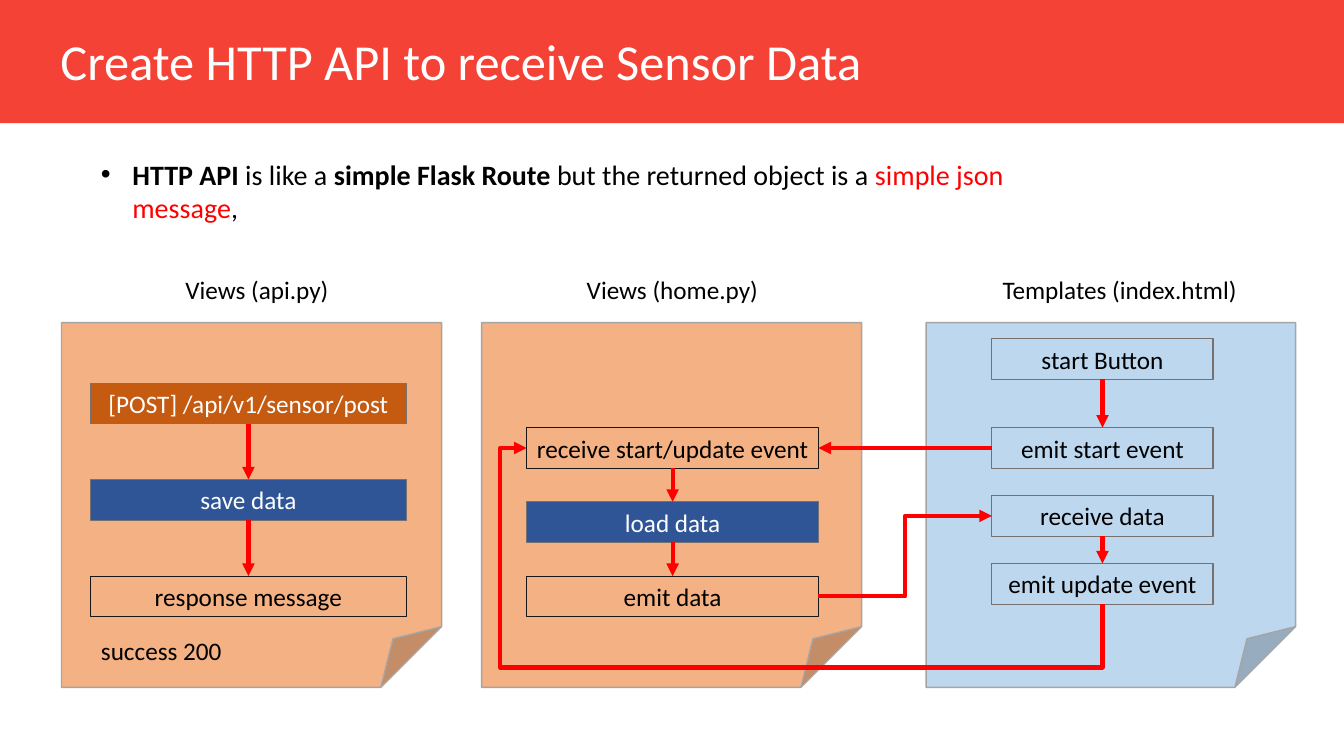
from lxml import etree
from pptx import Presentation, oxml
from pptx.dml.color import RGBColor
from pptx.enum import shapes, text
from pptx.oxml import ns
from pptx.util import Pt

COLORS = {
    "band": "F44336", "white": "FFFFFF", "black": "000000", "red": "FF0000",
    "peach": "F4B183", "sky": "BDD7EE", "rust": "C55A11", "navy": "2F5597",
    "silver": "A5A5A5", "gray": "767171", "ink": "181717",
}
RGB = {name: RGBColor.from_string(value) for name, value in COLORS.items()}
ALIGN = text.PP_ALIGN
SHAPE = shapes.MSO_SHAPE


def write(shape, spans, size, align=ALIGN.LEFT, wrap=False, anchor=text.MSO_ANCHOR.TOP):
    frame = shape.text_frame
    layout = {"word_wrap": wrap, "vertical_anchor": anchor, "auto_size": text.MSO_AUTO_SIZE.NONE}
    for name, value in layout.items():
        setattr(frame, name, value)
    para = frame.paragraphs[0]
    para.alignment = align
    for words, color, bold in spans:
        span = para.add_run()
        span.text = words
        for name, value in {"name": "Calibri", "size": Pt(size), "bold": bold}.items():
            setattr(span.font, name, value)
        span.font.color.rgb = RGB[color]
    return para


def add_block(kind, bounds, fill, line, weight=0.75):
    block = page.shapes.add_shape(kind, *map(Pt, bounds))
    block.shadow.inherit = False
    if fill:
        block.fill.solid()
        block.fill.fore_color.rgb = RGB[fill]
    else:
        block.fill.background()
    if line:
        block.line.color.rgb = RGB[line]
        block.line.width = Pt(weight)
    else:
        block.line.fill.background()
    return block


deck = Presentation()
deck.slide_width, deck.slide_height = Pt(960), Pt(540)
page = deck.slides.add_slide(deck.slide_layouts[5])

band = add_block(SHAPE.RECTANGLE, (0, -0.5, 961, 88.5), "band", None)
page.shapes._spTree.insert(2, band._element)

title = page.shapes.title
for name, value in {"left": 36, "top": 18, "width": 692, "height": 51}.items():
    setattr(title, name, Pt(value))
write(title, [("Create HTTP API to receive Sensor Data", "white", False)], 36, wrap=True)

summary = page.shapes.add_textbox(Pt(65), Pt(108.7), Pt(737), Pt(55.5))
summary.text_frame.margin_right = Pt(20)
para = write(summary, [
    ("HTTP API", "black", True),
    (" is like a ", "black", False),
    ("simple Flask Route", "black", True),
    (" but the returned object is a ", "black", False),
    ("simple json message", "red", False),
    (",", "black", False),
], 20, wrap=True)
props = para._p.get_or_add_pPr()
props.set("marL", str(Pt(22.5)))
props.set("indent", str(Pt(-22.5)))
etree.SubElement(props, ns.qn("a:buFont")).set("typeface", "Arial")
etree.SubElement(props, ns.qn("a:buChar")).set("char", "•")

files = [
    ("Views (api.py)", 125.3, 116.5, 44, 271.5, "peach"),
    ("Views (home.py)", 412, 136.5, 344, 271.5, "peach"),
    ("Templates (index.html)", 709, 181.5, 661.5, 264, "sky"),
]
for caption, caption_left, caption_width, left, width, fill in files:
    add_block(SHAPE.FOLDED_CORNER, (left, 230.5, width, 260.5), fill, "silver", 1)
    label = page.shapes.add_textbox(Pt(caption_left), Pt(192.5), Pt(caption_width), Pt(29))
    write(label, [(caption, "black", False)], 18, ALIGN.CENTER)

note = page.shapes.add_textbox(Pt(65), Pt(450), Pt(101), Pt(29))
write(note, [("success 200", "black", False)], 18)

flows = [
    (64.7, 225.5, [
        ("[POST] /api/v1/sensor/post", 273.7, "rust", "gray"),
        ("save data", 342.5, "navy", "gray"),
        ("response message", 411.5, None, "ink"),
    ]),
    (376.3, 208.3, [
        ("receive start/update event", 305.5, None, "ink"),
        ("load data", 358.5, "navy", "gray"),
        ("emit data", 411.5, None, "ink"),
    ]),
    (708.5, 158, [
        ("start Button", 242, None, "gray"),
        ("emit start event", 305.5, None, "gray"),
        ("receive data", 354, None, "gray"),
        ("emit update event", 402.5, None, "gray"),
    ]),
]
steps = {}
for left, width, rows in flows:
    for words, top, fill, line in rows:
        box = add_block(SHAPE.RECTANGLE, (left, top, width, 29), fill, line)
        ink = "white" if fill else "black"
        write(box, [(words, ink, False)], 18, ALIGN.CENTER, anchor=text.MSO_ANCHOR.MIDDLE)
        steps[words] = box

TOP, LEFT, BOTTOM, RIGHT = range(4)
STRAIGHT, ELBOW = shapes.MSO_CONNECTOR.STRAIGHT, shapes.MSO_CONNECTOR.ELBOW
links = [
    (STRAIGHT, "[POST] /api/v1/sensor/post", BOTTOM, "save data", TOP),
    (STRAIGHT, "save data", BOTTOM, "response message", TOP),
    (STRAIGHT, "receive start/update event", BOTTOM, "load data", TOP),
    (STRAIGHT, "load data", BOTTOM, "emit data", TOP),
    (STRAIGHT, "start Button", BOTTOM, "emit start event", TOP),
    (STRAIGHT, "receive data", BOTTOM, "emit update event", TOP),
    (STRAIGHT, "emit start event", LEFT, "receive start/update event", RIGHT),
    (ELBOW, "emit data", RIGHT, "receive data", LEFT),
    (ELBOW, "emit update event", BOTTOM, "receive start/update event", LEFT),
]
for kind, source, exit_site, target, entry_site in links:
    arrow = page.shapes.add_connector(kind, 0, 0, 0, 0)
    arrow.begin_connect(steps[source], exit_site)
    arrow.end_connect(steps[target], entry_site)
    arrow.line.color.rgb = RGB["red"]
    arrow.line.width = Pt(3)
    etree.SubElement(arrow.line._get_or_add_ln(), ns.qn("a:tailEnd")).set("type", "triangle")
    etree.SubElement(arrow._element.spPr, ns.qn("a:effectLst"))

across, rise = arrow.width, arrow.height
middle_x, middle_y = arrow.left + across // 2, arrow.top + rise // 2
turned = {"left": middle_x - rise // 2, "top": middle_y - across // 2, "width": rise, "height": across}
for name, value in turned.items():
    setattr(arrow, name, value)
frame = arrow._element.spPr.find(ns.qn("a:xfrm"))
for name in ("flipH", "flipV"):
    frame.attrib.pop(name, None)
frame.set("rot", "5400000")
frame.set("flipH", "1")
bend = arrow._element.spPr.find(ns.qn("a:prstGeom"))
bend.set("prst", "bentConnector4")
guides = bend.find(ns.qn("a:avLst"))
for name, value in {"adj1": -40600, "adj2": 104600}.items():
    guide = etree.SubElement(guides, ns.qn("a:gd"))
    guide.set("name", name)
    guide.set("fmla", f"val {value}")

deck.save("out.pptx")
